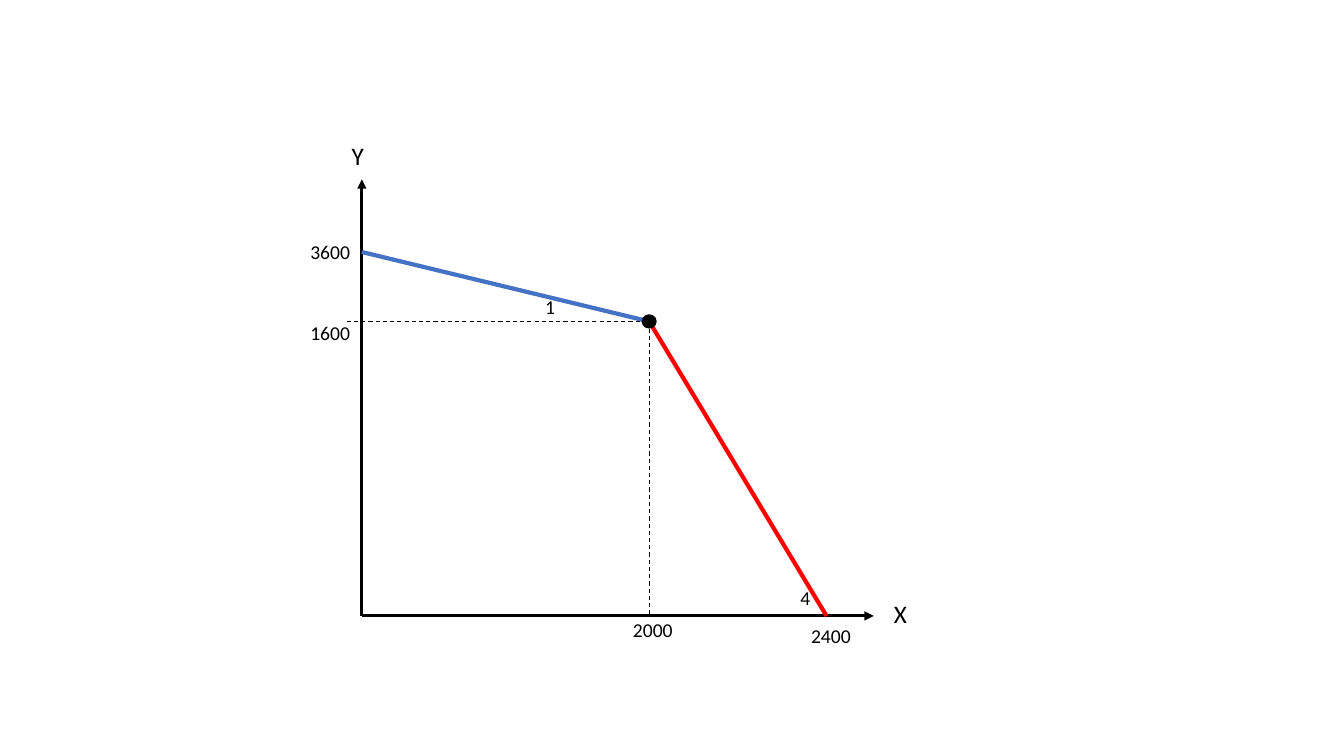
from lxml.etree import SubElement as Sub
from pptx import Presentation as Deck
from pptx.dml.color import RGBColor as Rgb
from pptx.enum.dml import MSO_LINE as Dash
from pptx.enum.shapes import MSO_CONNECTOR as Link, MSO_SHAPE as Form
from pptx.enum.text import MSO_AUTO_SIZE as Fit, PP_ALIGN as Align
from pptx.oxml.ns import qn
from pptx.util import Cm, Pt

BLACK, BLUE, RED = "000000", "4472C4", "FF0000"
AXIS = {"width": Pt(2.25)}
CURVE = {"width": Pt(3)}
GUIDE = {"width": Pt(0.75), "dash_style": Dash.DASH}


def tint(code):
    """Turn a hex string into a colour."""
    return Rgb.from_string(code)


def style(item, form):
    """Set each attribute named in the format dict."""
    for name, value in form.items():
        setattr(item, name, value)


def stroke(shapes, start, end, code, form, arrow=False):
    """Draw a straight line, with an arrowhead if asked."""
    line = shapes.add_connector(Link.STRAIGHT, *map(Cm, start + end))
    line.line.color.rgb = tint(code)
    style(line.line, form)
    if arrow:
        Sub(line.line._ln, qn("a:tailEnd"), type="triangle")
    Sub(line._element.spPr, qn("a:effectLst"))


def label(shapes, text, left, top, width, size=14, align=Align.LEFT):
    """Place a one-line label whose height follows its type size."""
    high = 1.12 if size > 14 else 0.86
    box = shapes.add_textbox(Cm(left), Cm(top), Cm(width), Cm(high))
    frame = box.text_frame
    style(frame, {"text": text, "word_wrap": True,
                  "auto_size": Fit.SHAPE_TO_FIT_TEXT})
    para = frame.paragraphs[0]
    para.alignment = align
    font = para.runs[0].font
    style(font, {"name": "Calibri", "size": Pt(size)})
    font.color.rgb = tint(BLACK)


def axes(slide, left, top, width, height):
    """Draw both axes of the plot box as one group, and name them."""
    base, right = top + height, left + width
    group = slide.shapes.add_group_shape()
    for end in ((left, top), (right, base)):
        stroke(group.shapes, (left, base), end, BLACK, AXIS, True)
    label(slide.shapes, "Y", left - 0.51, top - 1.12, 1.02, 18)
    label(slide.shapes, "X", right + 0.26, base - 0.56, 1.02, 18)


def curve(slide, left, top, width, height):
    """Draw the kinked frontier, its guides and its values."""
    shapes = slide.shapes
    base = top + height
    high = (left, top + 1.83)
    kink = x, y = left + 7.24, top + 3.58
    foot = (left + 11.71, base)
    wide, tall = 0.38, 0.36

    stroke(shapes, high, kink, BLUE, CURVE)
    stroke(shapes, kink, foot, RED, CURVE)
    dot = shapes.add_shape(Form.OVAL, Cm(x - wide / 2), Cm(y - tall / 2),
                           Cm(wide), Cm(tall))
    dot.shadow.inherit = False
    dot.fill.solid()
    dot.fill.fore_color.rgb = tint(BLACK)
    dot.line.fill.background()
    stroke(shapes, (left - wide, y), (x - wide / 2, y), BLACK, GUIDE)
    stroke(shapes, (x, y + tall / 2), (x, base), BLACK, GUIDE)

    label(shapes, "1600", left - 1.55, y - 0.13, 1.63)
    label(shapes, "2000", x - 0.66, base - 0.08, 1.83)
    label(shapes, "3600", left - 1.55, high[1] - 0.43, 1.52)
    label(shapes, "2400", foot[0] - 0.64, base + 0.07, 1.57)
    label(shapes, "1", x - 2.87, y - 0.79, 0.56, align=Align.RIGHT)
    label(shapes, "4", foot[0] - 0.91, base - 0.89, 0.56, align=Align.RIGHT)


def main():
    """Build the slide and save it."""
    deck = Deck()
    style(deck, {"slide_width": Cm(33.87), "slide_height": Cm(19.05)})
    slide = deck.slides.add_slide(deck.slide_layouts[6])
    plot = (9.12, 4.52, 12.9, 11)
    axes(slide, *plot)
    curve(slide, *plot)
    deck.save("out.pptx")


if __name__ == "__main__":
    main()
